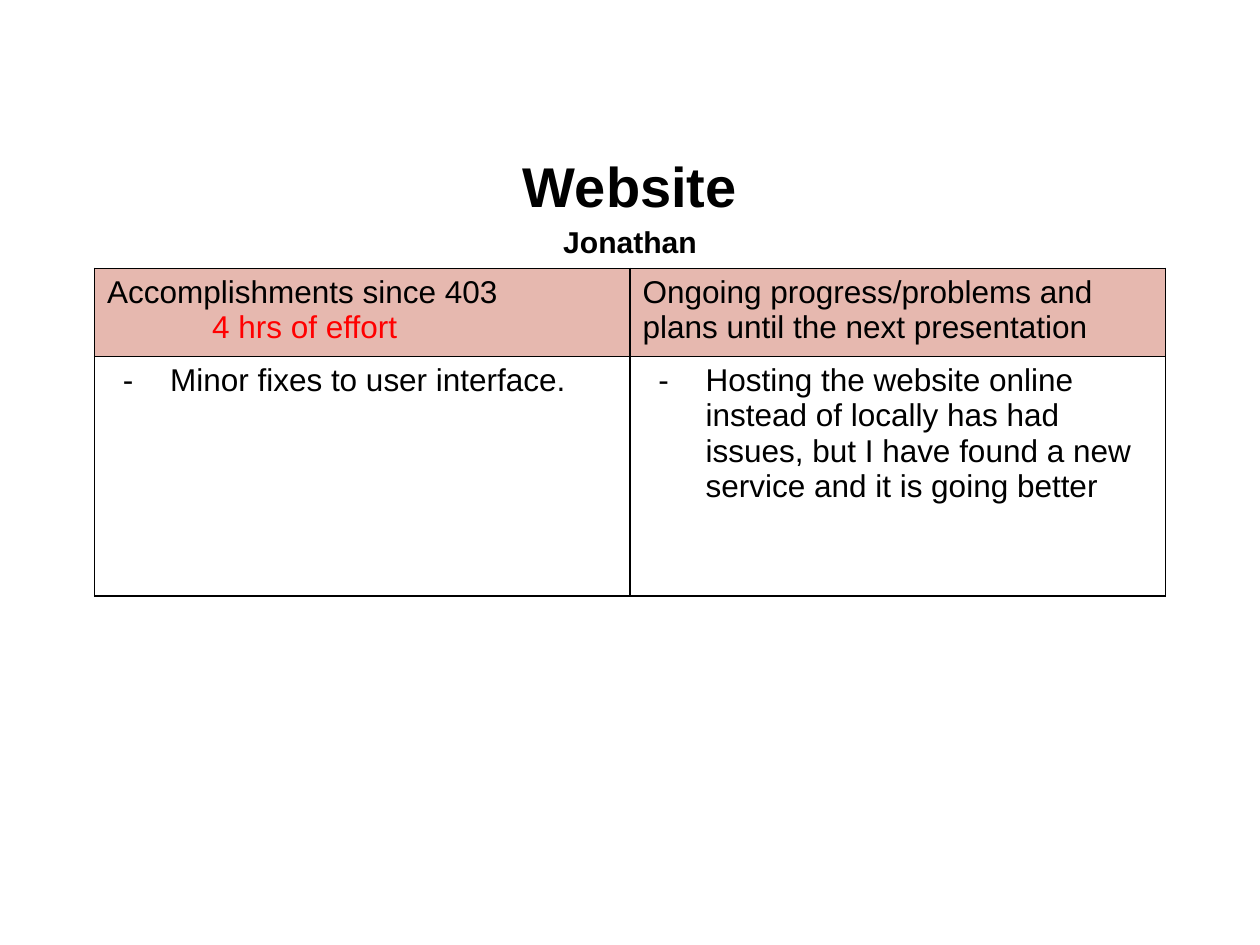
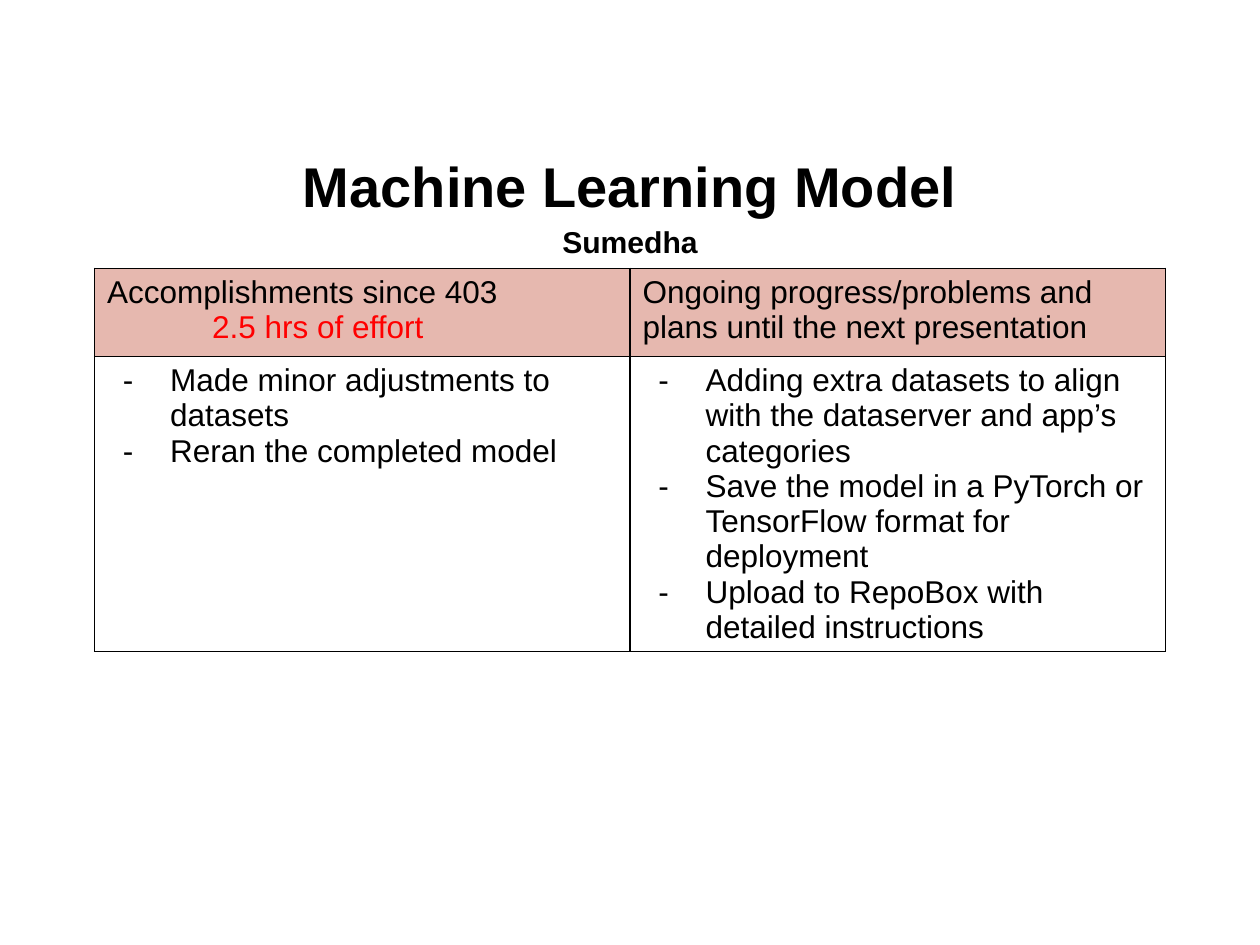
from lxml.etree import SubElement
from pptx import Presentation
from pptx.dml.color import RGBColor
from pptx.enum.text import MSO_ANCHOR as Anchor, MSO_AUTO_SIZE as AutoSize, PP_ALIGN as Align
from pptx.oxml.ns import qn
from pptx.util import Pt

FONT = "Arial"
BLACK, RED, PINK = "000000", "FF0000", "E6B8AF"
TITLE_ONLY = 5
TITLE_SIZE, NAME_SIZE, BODY_SIZE = 32, 17.2, 18
COLUMN_WIDTH = 306
HEADER_HEIGHT, BODY_HEIGHT = 50.4, 136.8
EFFORT_INDENT = 60
BULLET_INDENT, BULLET_HANG = 36, 27
PLANS_HEADING = "Ongoing progress/problems and plans until the next presentation"

REPORTS = [
    {
        "topic": "Website",
        "member": "Jonathan",
        "effort": "4 hrs of effort",
        "done": ["Minor fixes to user interface."],
        "plans": ["Hosting the website online instead of locally has had issues, "
                  "but I have found a new service and it is going better"],
    },
    {
        "topic": "Machine Learning Model",
        "member": "Sumedha",
        "effort": "2.5 hrs of effort",
        "done": ["Made minor adjustments to datasets", "Reran the completed model"],
        "plans": ["Adding extra datasets to align with the dataserver and app’s categories",
                  "Save the model in a PyTorch or TensorFlow format for deployment",
                  "Upload to RepoBox with detailed instructions"],
    },
]


def rgb(value):
    return RGBColor.from_string(value)


def add_run(paragraph, text, size=BODY_SIZE, color=BLACK, bold=False):
    run = paragraph.add_run()
    run.text = text
    run.font.name = FONT
    run.font.size = Pt(size)
    run.font.bold = bold
    run.font.color.rgb = rgb(color)


def paragraphs(frame, count):
    """Return the first paragraph of the frame and as many new ones as needed."""
    return [frame.paragraphs[0]] + [frame.add_paragraph() for _ in range(count - 1)]


def set_title(slide, topic, member):
    title = slide.shapes.title
    title.left, title.top, title.width, title.height = Pt(36), Pt(82.8), Pt(648), Pt(63.4)
    frame = title.text_frame
    frame.auto_size = AutoSize.NONE
    frame.vertical_anchor = Anchor.MIDDLE
    lines = [(topic, TITLE_SIZE), (member, NAME_SIZE)]
    for paragraph, (text, size) in zip(paragraphs(frame, len(lines)), lines):
        paragraph.alignment = Align.CENTER
        paragraph.line_spacing = 1.15
        add_run(paragraph, text, size, bold=True)


def style_cell(cell, fill=None):
    properties = cell._tc.get_or_add_tcPr()
    for side in ("a:lnL", "a:lnR", "a:lnT", "a:lnB"):
        border = SubElement(properties, qn(side), w=str(Pt(1)))
        SubElement(SubElement(border, qn("a:solidFill")), qn("a:srgbClr"), val=BLACK)
    if fill:
        cell.fill.solid()
        cell.fill.fore_color.rgb = rgb(fill)
    else:
        cell.fill.background()


def indent(paragraph, left, hang=0):
    properties = paragraph._p.get_or_add_pPr()
    properties.set("marL", str(Pt(left)))
    properties.set("indent", str(-Pt(hang)))
    return properties


def add_bullets(cell, items):
    for paragraph, item in zip(paragraphs(cell.text_frame, len(items)), items):
        properties = indent(paragraph, BULLET_INDENT, BULLET_HANG)
        SubElement(SubElement(properties, qn("a:buClr")), qn("a:srgbClr"), val=BLACK)
        SubElement(properties, qn("a:buFont"), typeface=FONT)
        SubElement(properties, qn("a:buChar"), char="-")
        add_run(paragraph, item)


def add_status_table(slide, effort, done, plans):
    table = slide.shapes.add_table(2, 2, Pt(54), Pt(153.4), Pt(2 * COLUMN_WIDTH),
                                   Pt(HEADER_HEIGHT + BODY_HEIGHT)).table
    table.first_row = table.horz_banding = False
    for column in table.columns:
        column.width = Pt(COLUMN_WIDTH)
    for row, height, fill in zip(table.rows, (HEADER_HEIGHT, BODY_HEIGHT), (PINK, None)):
        row.height = Pt(height)
        for cell in row.cells:
            style_cell(cell, fill)

    heading, effort_line = paragraphs(table.cell(0, 0).text_frame, 2)
    add_run(heading, "Accomplishments since 403")
    indent(effort_line, EFFORT_INDENT)
    add_run(effort_line, effort, color=RED)
    add_run(table.cell(0, 1).text_frame.paragraphs[0], PLANS_HEADING)
    add_bullets(table.cell(1, 0), done)
    add_bullets(table.cell(1, 1), plans)


def main():
    deck = Presentation()
    deck.slide_width, deck.slide_height = Pt(720), Pt(540)
    for report in REPORTS:
        slide = deck.slides.add_slide(deck.slide_layouts[TITLE_ONLY])
        set_title(slide, report["topic"], report["member"])
        add_status_table(slide, report["effort"], report["done"], report["plans"])
    deck.save("out.pptx")


if __name__ == "__main__":
    main()
